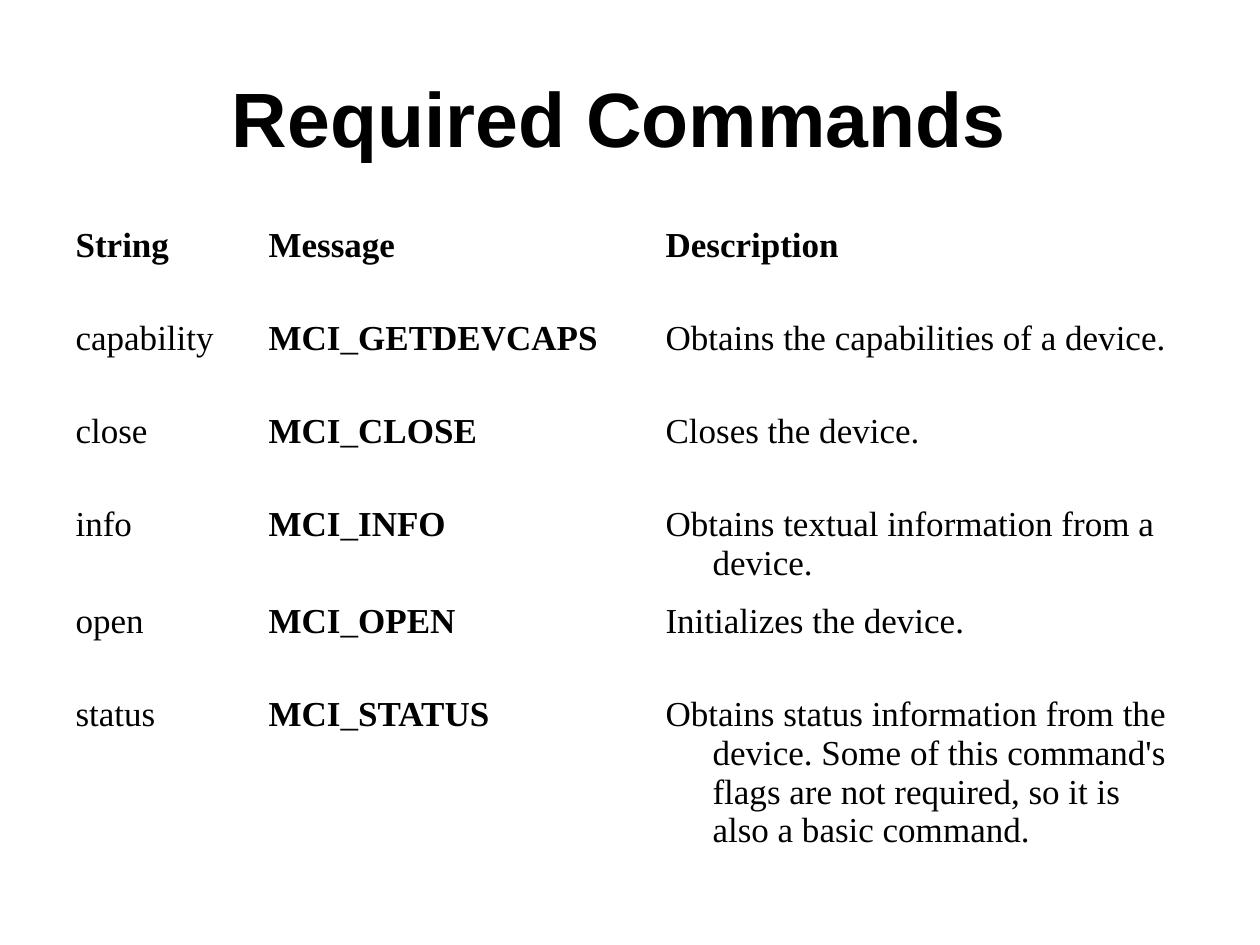
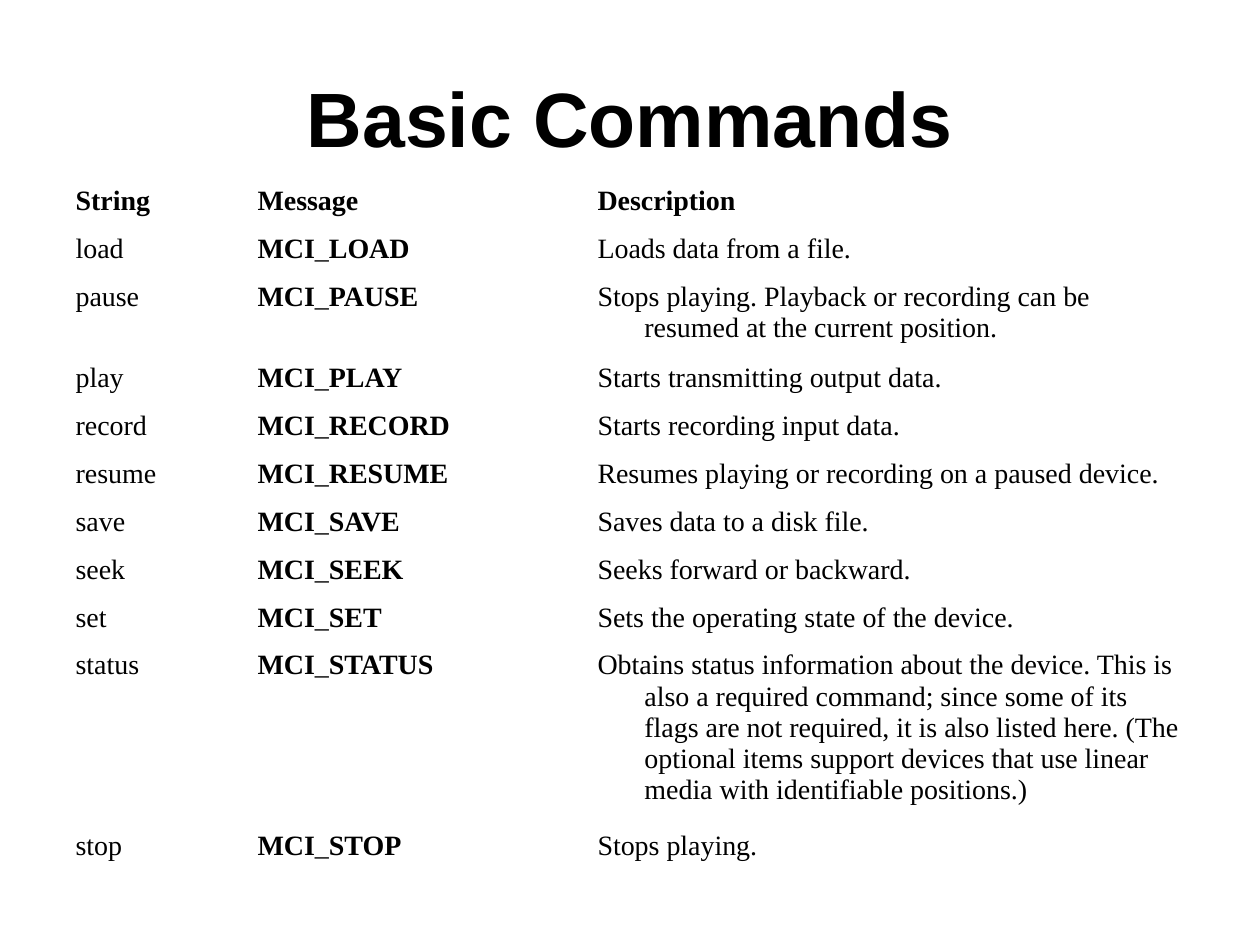
from pptx import Presentation
from pptx import util as u
from pptx.dml.color import RGBColor
from pptx.enum import text

INK = "000000"
HEAD_FONT, BODY_FONT = "Arial", "Times New Roman"
LEFT, WIDE, HANG = 63, 1134, 47
PLAIN = "{2D5ABB26-0587-4C30-8999-92F81FD0307C}"  # no style, no grid
HEADS = ("String", "Message", "Description")

# "tall" gives the height of the rows that differ from the usual "row" height.
SLIDES = [
    dict(
        title="Required Commands ", size=20, top=220, cols=(193, 397, 544),
        row=93, tall={"info": 97, "status": 181},
        body=[
            ("capability", "MCI_GETDEVCAPS", "Obtains the capabilities of a device."),
            ("close", "MCI_CLOSE", "Closes the device."),
            ("info", "MCI_INFO", "Obtains textual information from a device."),
            ("open", "MCI_OPEN", "Initializes the device."),
            ("status", "MCI_STATUS",
             "Obtains status information from the device. Some of this command's "
             "flags are not required, so it is also a basic command."),
        ]),
    dict(
        title="Basic Commands", size=16, top=179, cols=(182, 340, 612),
        row=48, tall={"pause": 81, "status": 181},
        body=[
            ("load", "MCI_LOAD", "Loads data from a file."),
            ("pause", "MCI_PAUSE",
             "Stops playing. Playback or recording can be resumed at the "
             "current position."),
            ("play", "MCI_PLAY", "Starts transmitting output data."),
            ("record", "MCI_RECORD", "Starts recording input data."),
            ("resume", "MCI_RESUME", "Resumes playing or recording on a paused device."),
            ("save", "MCI_SAVE", "Saves data to a disk file."),
            ("seek", "MCI_SEEK", "Seeks forward or backward."),
            ("set", "MCI_SET", "Sets the operating state of the device."),
            ("status", "MCI_STATUS",
             "Obtains status information about the device. This is also a required "
             "command; since some of its flags are not required, it is also listed "
             "here. (The optional items support devices that use linear media with "
             "identifiable positions.)"),
            ("stop", "MCI_STOP", "Stops playing."),
        ]),
]


def px(n):
    return u.Inches(n / 126)


def color(code):
    return RGBColor.from_string(code)


def add_run(para, words, font, size, bold):
    run = para.add_run()
    run.text = words
    run.font.name, run.font.size, run.font.bold = font, u.Pt(size), bold
    run.font.color.rgb = color(INK)


def add_title(slide, words):
    frame = slide.shapes.add_textbox(px(LEFT), px(38), px(WIDE), px(157)).text_frame
    frame.word_wrap = True
    frame.vertical_anchor = text.MSO_ANCHOR.MIDDLE
    para = frame.paragraphs[0]
    para.alignment = text.PP_ALIGN.CENTER
    add_run(para, words, HEAD_FONT, 44, True)


def fill_cell(cell, parts, size):
    """Write (words, bold) parts with a hanging indent."""
    cell.fill.background()
    para = cell.text_frame.paragraphs[0]
    props = para._p.get_or_add_pPr()
    props.set("marL", str(px(HANG)))
    props.set("indent", str(-px(HANG)))
    for words, bold in parts:
        add_run(para, words, BODY_FONT, size, bold)


def split_name(name):
    """Keep the underscore of a message name in regular weight."""
    stem, bar, tail = name.partition("_")
    return [(stem, True), (bar, False), (tail, True)]


def add_grid(slide, spec):
    rows = [[[(head, True)] for head in HEADS]]
    rows += [[[(name, False)], split_name(msg), [(note, False)]]
             for name, msg, note in spec["body"]]
    highs = [spec["row"]]
    highs += [spec["tall"].get(name, spec["row"]) for name, _, _ in spec["body"]]

    grid = slide.shapes.add_table(len(rows), len(HEADS), px(LEFT), px(spec["top"]),
                                  px(WIDE), px(sum(highs))).table
    grid.first_row = grid.horz_banding = False
    grid._tbl.tblPr[0].text = PLAIN
    for col, wide in zip(grid.columns, spec["cols"]):
        col.width = px(wide)
    for line, high, parts in zip(grid.rows, highs, rows):
        line.height = px(high)
        for cell, part in zip(line.cells, parts):
            fill_cell(cell, part, spec["size"])


def main():
    deck = Presentation()
    deck.slide_width, deck.slide_height = px(1260), px(945)
    for spec in SLIDES:
        slide = deck.slides.add_slide(deck.slide_layouts[6])
        add_title(slide, spec["title"])
        add_grid(slide, spec)
    deck.save("out.pptx")


if __name__ == "__main__":
    main()
